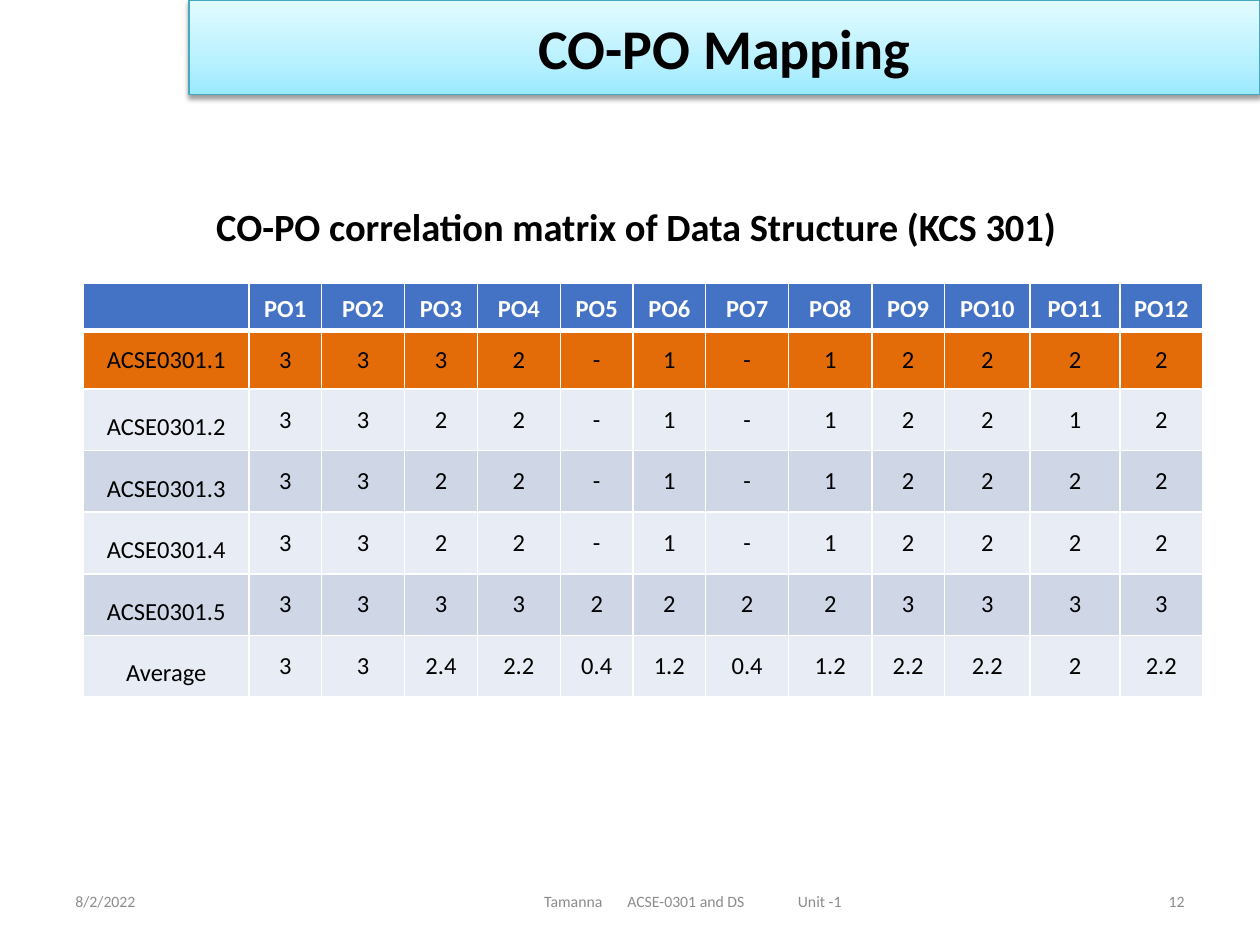
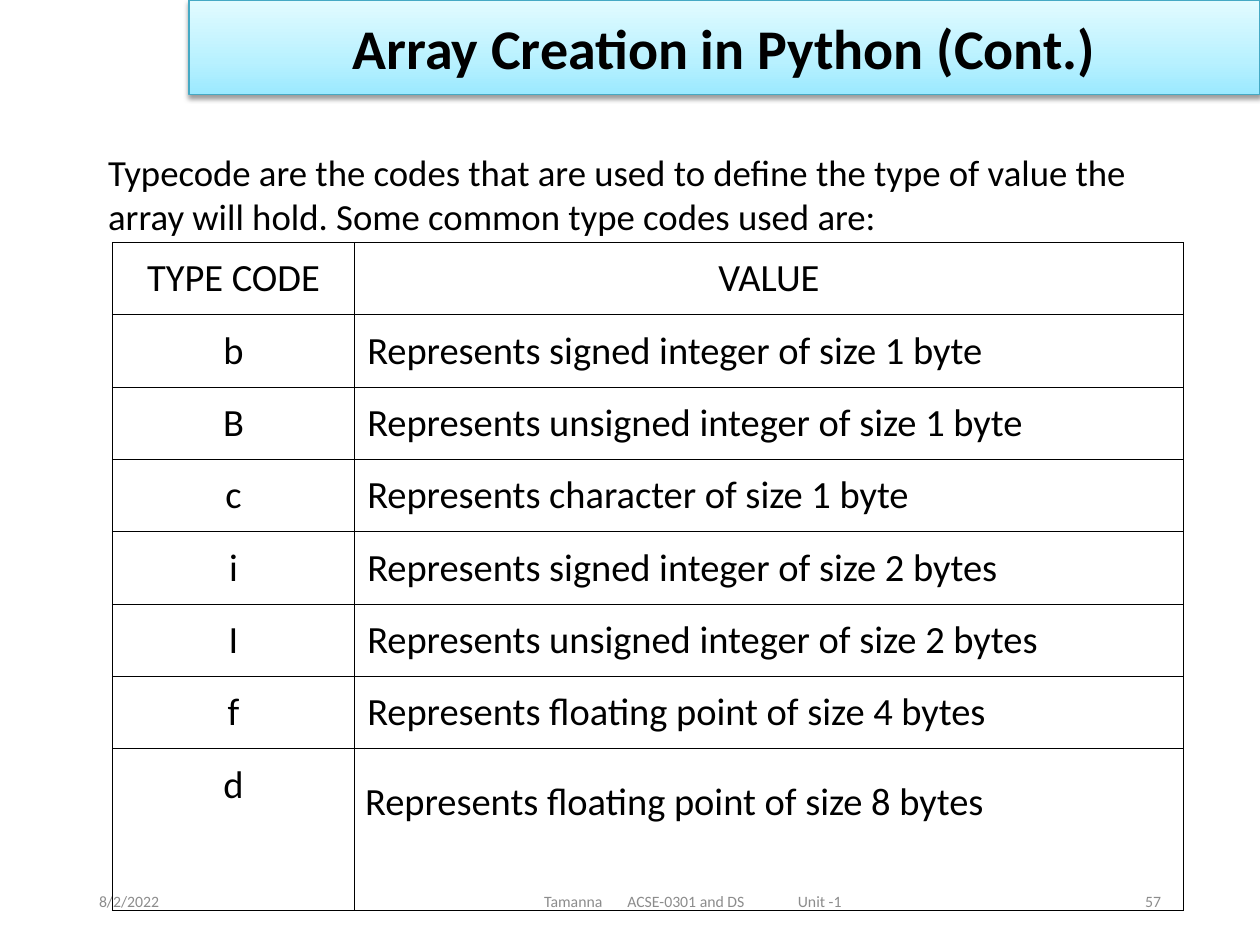
"""Build a course-outcome mapping slide and an array type-code slide."""
from dataclasses import dataclass

from pptx import Presentation
from pptx.dml.color import RGBColor
from pptx.enum.text import MSO_ANCHOR, MSO_AUTO_SIZE, PP_ALIGN
from pptx.oxml import parse_xml
from pptx.oxml.ns import nsdecls
from pptx.util import Pt


@dataclass(frozen=True)
class Theme:
    font: str = "Calibri"
    ink: str = "000000"
    paper: str = "FFFFFF"
    muted: str = "8C8C8C"
    header: str = "4472C4"
    highlight: str = "E36C09"
    light_band: str = "E8ECF4"
    dark_band: str = "CFD7E7"
    title_line: str = "45A9C4"
    title_stops: tuple = ((0, "9BE9FF"), (35, "B8F1FF"), (100, "E2FBFF"))
    title_size: float = 32
    heading_size: float = 22
    body_size: float = 21
    matrix_size: float = 14
    footer_size: float = 9


theme = Theme()


def write(frame, text, size, color=theme.ink, bold=False, align=PP_ALIGN.LEFT, spacing=None):
    """Put one formatted paragraph into a text frame."""
    frame.word_wrap = True
    frame.text = text
    paragraph = frame.paragraphs[0]
    paragraph.alignment = align
    if spacing:
        paragraph.line_spacing = spacing
    for span in paragraph.runs:
        span.font.name = theme.font
        span.font.size = Pt(size)
        span.font.bold = bold
        span.font.color.rgb = RGBColor.from_string(color)


def format_cell(cell, fill, line, widths, inset_x, inset_y):
    """Set insets, the four borders (left, right, top, bottom) and the fill of a cell."""
    cell.margin_left = cell.margin_right = Pt(inset_x)
    cell.margin_top = cell.margin_bottom = Pt(inset_y)
    properties = cell._tc.get_or_add_tcPr()
    for side, width in zip("LRTB", widths):
        properties.append(parse_xml(
            f'<a:ln{side} {nsdecls("a")} w="{Pt(width)}"><a:solidFill>'
            f'<a:srgbClr val="{line}"/></a:solidFill></a:ln{side}>'))
    if fill:
        cell.fill.solid()
        cell.fill.fore_color.rgb = RGBColor.from_string(fill)
    else:
        cell.fill.background()


deck = Presentation()
deck.slide_width, deck.slide_height = Pt(720), Pt(540)

pages = []
for title_text, number, margin in (
    ("CO-PO Mapping", "12", 36),
    ("Array Creation in Python (Cont.)", "57", 49.5),
):
    page = deck.slides.add_slide(deck.slide_layouts[5])
    pages.append(page)

    title = page.shapes.title
    title.left, title.top, title.width, title.height = Pt(108), Pt(0), Pt(612), Pt(54)
    write(title.text_frame, title_text, theme.title_size, bold=True, align=PP_ALIGN.CENTER)
    title.text_frame.auto_size = MSO_AUTO_SIZE.NONE
    title.text_frame.vertical_anchor = MSO_ANCHOR.MIDDLE
    title.fill.gradient()
    title.fill.gradient_angle = 90
    stops = title._element.spPr.find(".//{*}gsLst")
    for stop in list(stops):
        stops.remove(stop)
    for position, color in theme.title_stops:
        stops.append(parse_xml(
            f'<a:gs {nsdecls("a")} pos="{position * 1000}"><a:srgbClr val="{color}"/></a:gs>'))
    title.line.color.rgb = RGBColor.from_string(theme.title_line)
    title.line.width = Pt(0.75)
    title._element.spPr.append(parse_xml(
        f'<a:effectLst {nsdecls("a")}><a:outerShdw blurRad="{Pt(3.1)}" dist="{Pt(1.6)}" '
        f'dir="5400000" rotWithShape="0"><a:srgbClr val="{theme.ink}">'
        '<a:alpha val="38000"/></a:srgbClr></a:outerShdw></a:effectLst>'))

    for text, left, width, align in (
        ("8/2/2022", margin, 165, PP_ALIGN.LEFT),
        ("Tamanna\tACSE-0301 and DS\tUnit -1", 198, 396, PP_ALIGN.LEFT),
        (number, 720 - margin - 165, 165, PP_ALIGN.RIGHT),
    ):
        box = page.shapes.add_textbox(Pt(left), Pt(500.5), Pt(width), Pt(28.75))
        frame = box.text_frame
        write(frame, text, theme.footer_size, theme.muted, align=align)
        frame.vertical_anchor = MSO_ANCHOR.MIDDLE
        if "\t" in text:
            frame.margin_left = Pt(113)
            frame.paragraphs[0]._p.get_or_add_pPr().append(parse_xml(
                f'<a:tabLst {nsdecls("a")}><a:tab pos="{Pt(47.5)}" algn="l"/>'
                f'<a:tab pos="{Pt(145)}" algn="l"/></a:tabLst>'))

mapping_page, typecode_page = pages

caption = mapping_page.shapes.add_textbox(Pt(39.6), Pt(112.5), Pt(648), Pt(34))
write(caption.text_frame, "CO-PO correlation matrix of Data Structure (KCS 301)",
      theme.heading_size, bold=True, align=PP_ALIGN.CENTER)

matrix = [
    [""] + [f"PO{index}" for index in range(1, 13)],
    ["ACSE0301.1", *"3332-1-12222"],
    ["ACSE0301.2", *"3322-1-12212"],
    ["ACSE0301.3", *"3322-1-12222"],
    ["ACSE0301.4", *"3322-1-12222"],
    ["ACSE0301.5", *"333322223333"],
    ["Average", *"3 3 2.4 2.2 0.4 1.2 0.4 1.2 2.2 2.2 2 2.2".split()],
]
column_widths = [94.5, 41.5, 47.5, 41.5, 47.5, 41.5, 41.5, 47.5, 47.5, 41.5, 49, 51.2, 47.5]
row_heights = [26.9, 33.5] + [35.2] * 5
row_fills = [theme.header, theme.highlight] + [
    theme.dark_band if row % 2 else theme.light_band for row in range(2, 7)]
table = mapping_page.shapes.add_table(
    7, 13, Pt(47.8), Pt(162), Pt(sum(column_widths)), Pt(sum(row_heights))).table
table.first_row = table.horz_banding = False
for column, width in zip(table.columns, column_widths):
    column.width = Pt(width)
for row, values in enumerate(matrix):
    table.rows[row].height = Pt(row_heights[row])
    for column, value in enumerate(values):
        cell = table.cell(row, column)
        heading = row == 0
        if heading:
            spacing = 1.15
        else:
            spacing = 1.5 if column == 0 and row > 1 else None
        write(cell.text_frame, value, theme.matrix_size, theme.paper if heading else theme.ink,
              heading, PP_ALIGN.CENTER, spacing)
        cell.vertical_anchor = MSO_ANCHOR.MIDDLE
        borders = (1, 1, 3 if row == 1 else 1, 3 if heading else 1)
        insets = (5, 0) if heading or column == 0 else (7.2, 3.6)
        format_cell(cell, row_fills[row], theme.paper, borders, *insets)

intro = typecode_page.shapes.add_textbox(Pt(54.7), Pt(78.5), Pt(639.4), Pt(65.5))
write(intro.text_frame, "Typecode are the codes that are used to define the type of value the "
      "array will hold. Some common type codes used are:", theme.body_size)
intro.text_frame.margin_top = intro.text_frame.margin_bottom = Pt(7.2)

typecodes = [
    ("TYPE CODE", "VALUE"),
    ("b", "Represents signed integer of size 1 byte"),
    ("B", "Represents unsigned integer of size 1 byte"),
    ("c", "Represents character of size 1 byte"),
    ("i", "Represents signed integer of size 2 bytes"),
    ("I", "Represents unsigned integer of size 2 bytes"),
    ("f", "Represents floating point of size 4 bytes"),
    ("d", "Represents floating point of size 8 bytes"),
]
table = typecode_page.shapes.add_table(8, 2, Pt(64.2), Pt(138.6), Pt(612), Pt(381.5)).table
table.first_row = table.horz_banding = False
for column, width in zip(table.columns, (138.5, 473.5)):
    column.width = Pt(width)
last = len(typecodes) - 1
for row, values in enumerate(typecodes):
    table.rows[row].height = Pt(92.2 if row == last else 41.33)
    for column, value in enumerate(values):
        cell = table.cell(row, column)
        centred = row == 0 or column == 0
        closing = row == last and column == 1
        write(cell.text_frame, value, theme.heading_size,
              align=PP_ALIGN.CENTER if centred else PP_ALIGN.LEFT,
              spacing=1.43 if closing else None)
        cell.vertical_anchor = MSO_ANCHOR.MIDDLE if row == 0 else MSO_ANCHOR.TOP
        inset = 6 if closing else 7.2
        format_cell(cell, None, theme.ink, [0.75] * 4, inset, inset)

deck.save("out.pptx")
